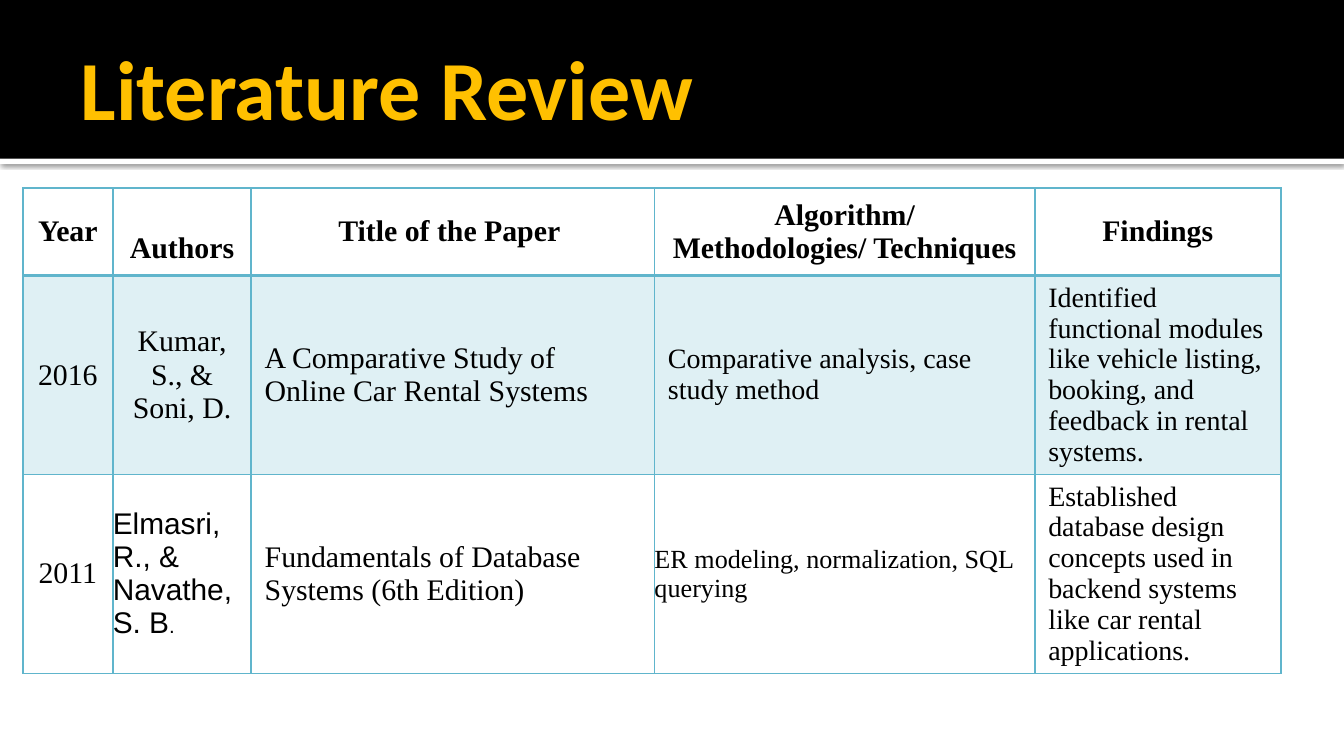
from dataclasses import dataclass
from itertools import product
from lxml import etree
from pptx import Presentation, util as u
from pptx.dml.color import RGBColor
from pptx.enum import shapes, text
from pptx.oxml import parse_xml
from pptx.oxml.ns import qn


@dataclass(frozen=True)
class Theme:
    ink: str = "000000"
    paper: str = "FFFFFF"
    gold: str = "FFC000"
    aqua: str = "60B5CC"
    head: str = "Calibri"
    serif: str = "Times New Roman"
    sans: str = "Arial"
    title: int = 45
    body: int = 16
    note: int = 15
    small: int = 14
    dot: int = 11


T = Theme()
TITLE = "Literature Review"
HEAD = [["Year"], ["Authors"], ["Title of the Paper "],
        ["Algorithm/", "Methodologies/ Techniques"], ["Findings"]]
ROWS = [
    ["2016", "Kumar, S., & Soni, D.",
     "A Comparative Study of Online Car Rental Systems",
     "Comparative analysis, case study method",
     "Identified functional modules like vehicle listing, booking, and "
     "feedback in rental systems."],
    ["2011", "Elmasri, R., & Navathe, S. B",
     "Fundamentals of Database Systems (6th Edition)",
     "ER modeling, normalization, SQL querying",
     "Established database design concepts used in backend systems like "
     "car rental applications."],
]
WIDE = 10
TALL = WIDE * 9 / 16
BAND = 1.18
COLS = [0.67, 1.03, 3, 2.83, 1.83]
HIGH = [0.65, 1.48, 1.48]
SIZES = [T.body, T.body, T.body, T.note, T.note]
FLUSH = {(2, 1), (2, 3)}
PAD = (0.1, 0.05, 0.1, 0.05)
NS = 'xmlns:a="http://schemas.openxmlformats.org/drawingml/2006/main"'


def add_run(par, words, size, font=T.serif, color=T.ink, bold=False):
    run = par.add_run()
    run.text = words
    run.font.size, run.font.name, run.font.bold = u.Pt(size), font, bold
    run.font.color.rgb = RGBColor.from_string(color)


def add_band(slide, top, high, color):
    band = slide.shapes.add_shape(shapes.MSO_SHAPE.RECTANGLE, 0, u.Inches(top),
                                  u.Inches(WIDE), u.Inches(high))
    band.shadow.inherit = False
    band.fill.solid()
    band.fill.fore_color.rgb = RGBColor.from_string(color)
    band.line.fill.background()
    return band


def add_shade(shape):
    glow = parse_xml(
        f'<a:outerShdw {NS} blurRad="{u.Pt(2.5)}" dist="{u.Pt(0.8)}" dir="5400000">'
        f'<a:srgbClr val="{T.ink}"><a:alpha val="60000"/></a:srgbClr></a:outerShdw>')
    shape._element.spPr.find(qn("a:effectLst")).append(glow)


def set_edges(cell, row):
    props = cell._tc.get_or_add_tcPr()
    for place, side in enumerate("LRTB"):
        thick = (side, row) in {("B", 0), ("T", 1)}
        props.insert(place, parse_xml(
            f'<a:ln{side} {NS} w="{u.Pt(2 if thick else 1)}"><a:solidFill>'
            f'<a:srgbClr val="{T.aqua}"/></a:solidFill></a:ln{side}>'))


def set_fill(cell, tint):
    if not tint:
        cell.fill.background()
        return
    cell.fill.solid()
    cell.fill.fore_color.rgb = RGBColor.from_string(T.aqua)
    color = cell._tc.tcPr.find(qn("a:solidFill")).find(qn("a:srgbClr"))
    etree.SubElement(color, qn("a:alpha")).set("val", "20000")


def set_text(cell, row, col):
    flush = (row, col) in FLUSH
    pad = (0, 0, 0, 0) if flush else PAD
    if (row, col) == (0, 1):
        pad = (0.1, 0.29, 0.1, 0.05)
    (cell.margin_left, cell.margin_top,
     cell.margin_right, cell.margin_bottom) = map(u.Inches, pad)
    cell.vertical_anchor = text.MSO_ANCHOR.MIDDLE
    frame = cell.text_frame
    lines = HEAD[col] if row == 0 else [ROWS[row - 1][col]]
    mid = row == 0 or (col < 2 and not flush)
    size = T.body if row == 0 else T.small if (row, col) == (2, 3) else SIZES[col]
    font = T.sans if (row, col) == (2, 1) else T.serif
    for n, line in enumerate(lines):
        par = frame.add_paragraph() if n else frame.paragraphs[0]
        par.alignment = text.PP_ALIGN.CENTER if mid else text.PP_ALIGN.LEFT
        add_run(par, line, size, font, bold=row == 0)
    if (row, col) == (2, 1):
        add_run(par, ".", T.dot, font)


def add_title(slide):
    title = slide.shapes.title
    title.left, title.top, title.width, title.height = map(
        u.Inches, (0.5, 0.13, 9, 1.03))
    slide.shapes._spTree.append(title._element)
    frame = title.text_frame
    frame.auto_size = text.MSO_AUTO_SIZE.NONE
    frame.vertical_anchor = text.MSO_ANCHOR.MIDDLE
    frame.margin_left, frame.margin_right = u.Inches(0.1), u.Inches(0.05)
    frame.margin_top = frame.margin_bottom = u.Inches(0.05)
    par = frame.paragraphs[0]
    par.alignment = text.PP_ALIGN.LEFT
    add_run(par, TITLE, T.title, T.head, T.gold, True)


def add_grid(slide):
    grid = slide.shapes.add_table(
        len(HIGH), len(COLS), u.Inches(0.17), u.Inches(1.4),
        u.Inches(sum(COLS)), u.Inches(sum(HIGH))).table
    grid.first_row = grid.horz_banding = False
    for col, wide in zip(grid.columns, COLS):
        col.width = u.Inches(wide)
    for row, high in zip(grid.rows, HIGH):
        row.height = u.Inches(high)
    for row, col in product(range(len(HIGH)), range(len(COLS))):
        cell = grid.cell(row, col)
        set_text(cell, row, col)
        set_fill(cell, row == 1)
        set_edges(cell, row)


def main():
    deck = Presentation()
    deck.slide_width, deck.slide_height = u.Inches(WIDE), u.Inches(TALL)
    slide = deck.slides.add_slide(deck.slide_layouts[5])
    add_shade(add_band(slide, BAND, 0.04, T.paper))
    add_band(slide, 0, BAND, T.ink)
    add_title(slide)
    add_grid(slide)
    deck.save("out.pptx")


if __name__ == "__main__":
    main()
